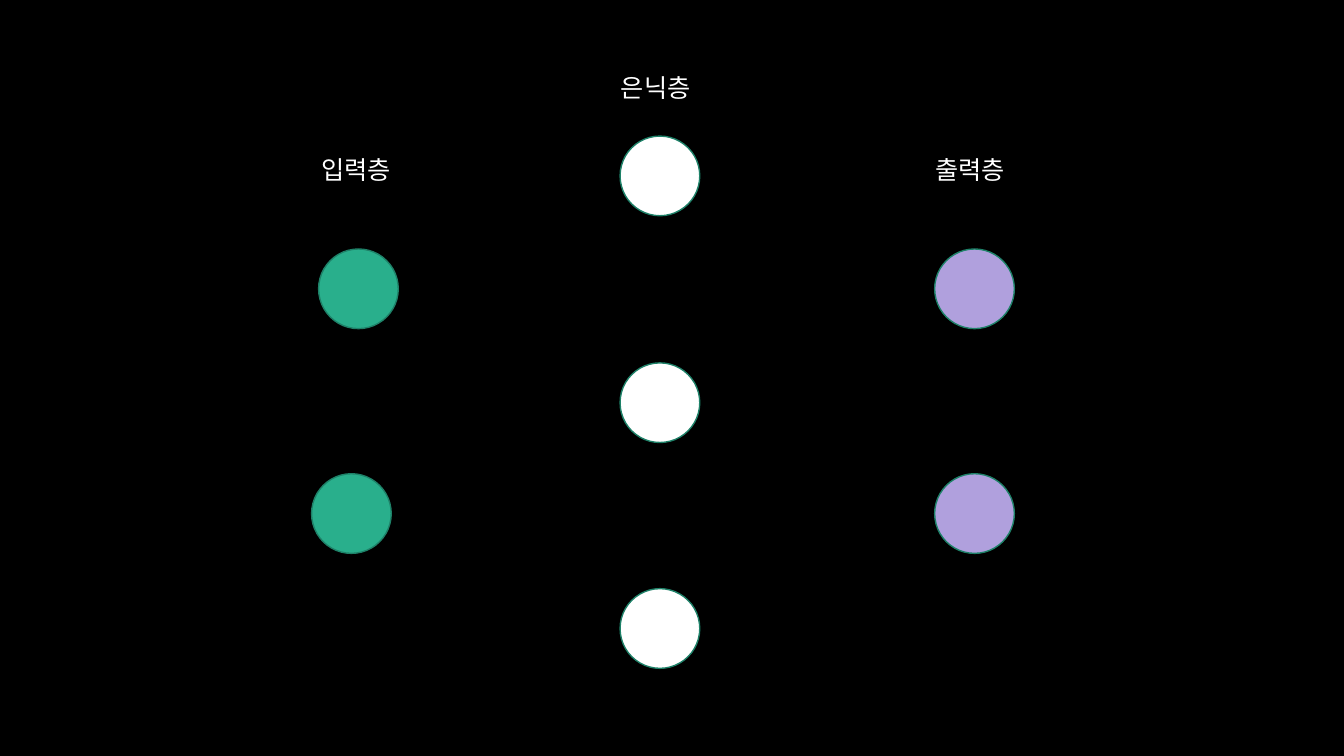
from pptx import Presentation
from pptx.dml.color import RGBColor
from pptx.enum.shapes import MSO_SHAPE as Shape
from pptx.enum.text import MSO_AUTO_SIZE as AutoSize
from pptx.util import Inches, Pt


def color(code):
    return RGBColor.from_string(code)


class NetworkSlide:
    font = "Calibri"
    background = "000000"
    text = "FFFFFF"
    outline = "1E8168"
    diameter = 0.79

    def __init__(self, deck):
        self.slide = deck.slides.add_slide(deck.slide_layouts[6])
        fill = self.slide.background.fill
        fill.solid()
        fill.fore_color.rgb = color(self.background)

    def neuron(self, left, top, fill):
        neuron = self.slide.shapes.add_shape(
            Shape.OVAL, Inches(left), Inches(top),
            Inches(self.diameter), Inches(self.diameter))
        neuron.shadow.inherit = False
        neuron.fill.solid()
        neuron.fill.fore_color.rgb = color(fill)
        neuron.line.color.rgb = color(self.outline)
        neuron.line.width = Pt(1)

    def label(self, left, top, wording):
        label = self.slide.shapes.add_textbox(
            Inches(left), Inches(top), Inches(0.97), Inches(0.4))
        frame = label.text_frame
        frame.word_wrap = True
        frame.auto_size = AutoSize.SHAPE_TO_FIT_TEXT
        run = frame.paragraphs[0].add_run()
        run.text = wording
        run.font.name = self.font
        run.font.size = Pt(18)
        run.font.color.rgb = color(self.text)


def main():
    deck = Presentation()
    deck.slide_width = Inches(13.33)
    deck.slide_height = Inches(7.5)
    network = NetworkSlide(deck)

    layers = [
        ("입력층", (3.09, 1.48), "29AF8C", [(3.16, 2.47), (3.09, 4.7)]),
        ("은닉층", (6.06, 0.67), "FFFFFF",
         [(6.15, 1.35), (6.15, 3.6), (6.15, 5.84)]),
        ("출력층", (9.18, 1.48), "B0A0DD", [(9.27, 2.47), (9.27, 4.7)]),
    ]
    for name, name_place, fill, neurons in layers:
        for left, top in neurons:
            network.neuron(left, top, fill)
        network.label(*name_place, name)

    deck.save("out.pptx")


if __name__ == "__main__":
    main()
